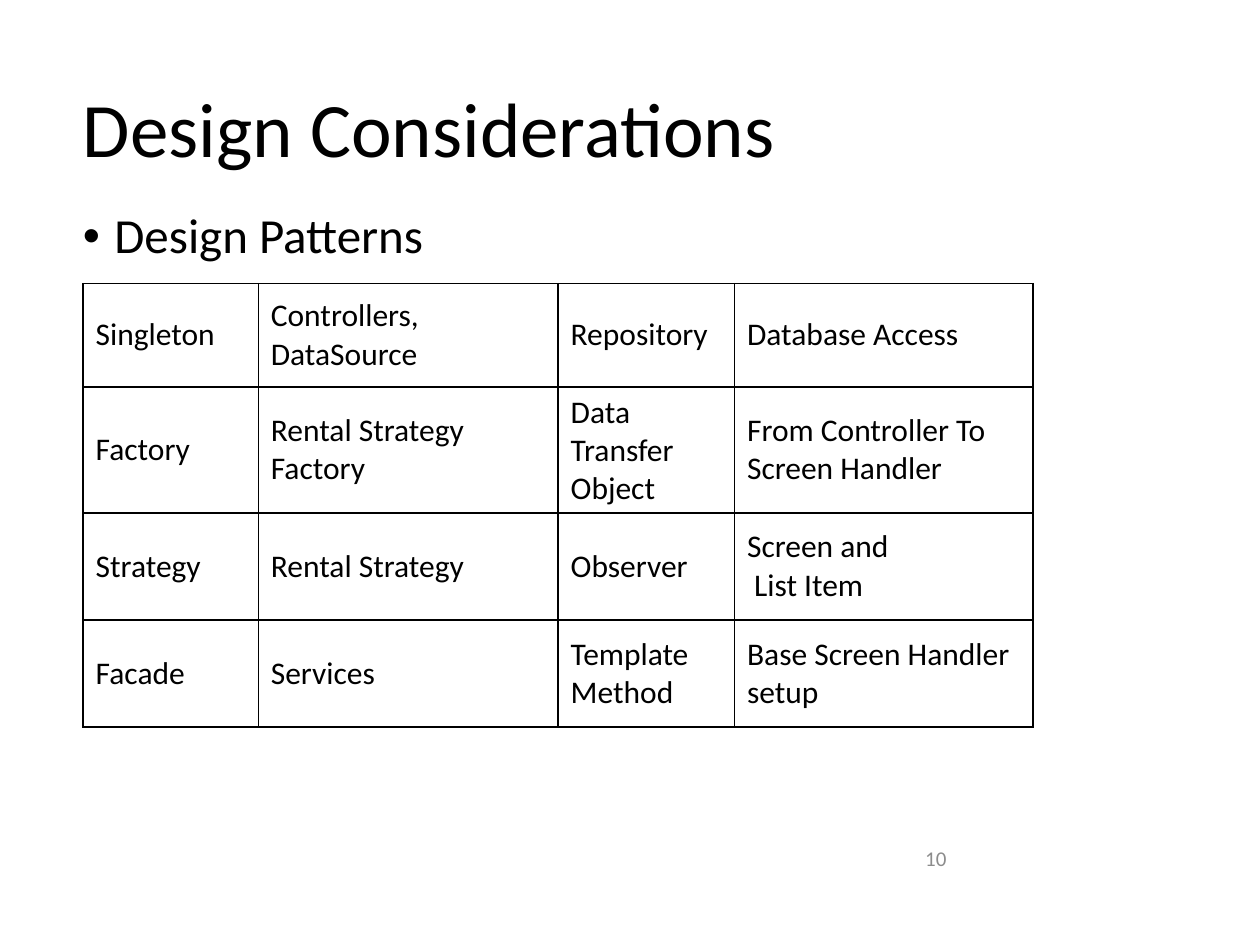
from lxml import etree
from pptx import Presentation
from pptx.dml.color import RGBColor
from pptx.enum import text
from pptx.oxml import ns
from pptx.util import Inches, Pt

THEME = {
    "font": "Calibri",
    "ink": "000000",
    "muted": "8C8C8C",
    "title": 44,
    "bullet": 28,
    "cell": 18,
    "number": 12,
    "border": 1,
}

TITLE = "Design Considerations"
BULLET = "Design Patterns"
PAGE_NUMBER = "10"
PATTERNS = [
    ("Singleton", "Controllers, DataSource", "Repository", "Database Access"),
    ("Factory", "Rental Strategy Factory", "Data Transfer Object",
     "From Controller To Screen Handler"),
    ("Strategy", "Rental Strategy", "Observer", "Screen and\n List Item"),
    ("Facade", "Services", "Template Method", "Base Screen Handler setup"),
]
COLUMN_WIDTHS = [1.39, 2.38, 1.4, 2.37]
ROW_HEIGHTS = [0.82, 0.85, 0.85, 0.85]


def write(frame, words, size, ink="ink", **paragraph_format):
    frame.text = words
    frame.word_wrap = True
    for line in frame.paragraphs:
        for key, value in paragraph_format.items():
            setattr(line, key, value)
        for run in line.runs:
            run.font.name = THEME["font"]
            run.font.size = Pt(THEME[size])
            run.font.color.rgb = RGBColor.from_string(THEME[ink])


def add_text(slide, box, words, size, **formats):
    frame = slide.shapes.add_textbox(*map(Inches, box)).text_frame
    write(frame, words, size, **formats)
    return frame


def add_bullet(paragraph):
    properties = paragraph._p.get_or_add_pPr()
    properties.set("marL", str(Inches(0.25)))
    properties.set("indent", str(Inches(-0.25)))
    etree.SubElement(properties, ns.qn("a:buFont"), typeface="Arial")
    etree.SubElement(properties, ns.qn("a:buChar"), char="•")


def add_borders(cell):
    properties = cell._tc.get_or_add_tcPr()
    for side in ("lnL", "lnR", "lnT", "lnB"):
        edge = etree.SubElement(properties, ns.qn(f"a:{side}"),
                                w=str(Pt(THEME["border"])))
        fill = etree.SubElement(edge, ns.qn("a:solidFill"))
        etree.SubElement(fill, ns.qn("a:srgbClr"), val=THEME["ink"])


def add_patterns(slide):
    grid = slide.shapes.add_table(
        len(PATTERNS), len(COLUMN_WIDTHS), Inches(0.66), Inches(2.25),
        Inches(sum(COLUMN_WIDTHS)), Inches(sum(ROW_HEIGHTS))).table
    grid.first_row = grid.horz_banding = False
    for column, width in zip(grid.columns, COLUMN_WIDTHS):
        column.width = Inches(width)
    for row, height, entries in zip(grid.rows, ROW_HEIGHTS, PATTERNS):
        row.height = Inches(height)
        for cell, words in zip(row.cells, entries):
            write(cell.text_frame, words, "cell")
            cell.vertical_anchor = text.MSO_ANCHOR.MIDDLE
            add_borders(cell)
            cell.fill.background()


def main():
    deck = Presentation()
    deck.slide_width, deck.slide_height = Inches(10), Inches(7.5)
    slide = deck.slides.add_slide(deck.slide_layouts[6])
    add_text(slide, (0.56, 0.67, 7.05, 1.44), TITLE, "title", line_spacing=0.9)
    bullet = add_text(slide, (0.56, 1.63, 4.45, 0.61), BULLET, "bullet",
                      line_spacing=0.9, space_before=Pt(10))
    add_bullet(bullet.paragraphs[0])
    number = add_text(slide, (7.05, 6.61, 0.56, 0.4), PAGE_NUMBER, "number",
                      ink="muted", alignment=text.PP_ALIGN.RIGHT,
                      space_after=Pt(6))
    number.vertical_anchor = text.MSO_ANCHOR.MIDDLE
    add_patterns(slide)
    deck.save("out.pptx")


if __name__ == "__main__":
    main()
